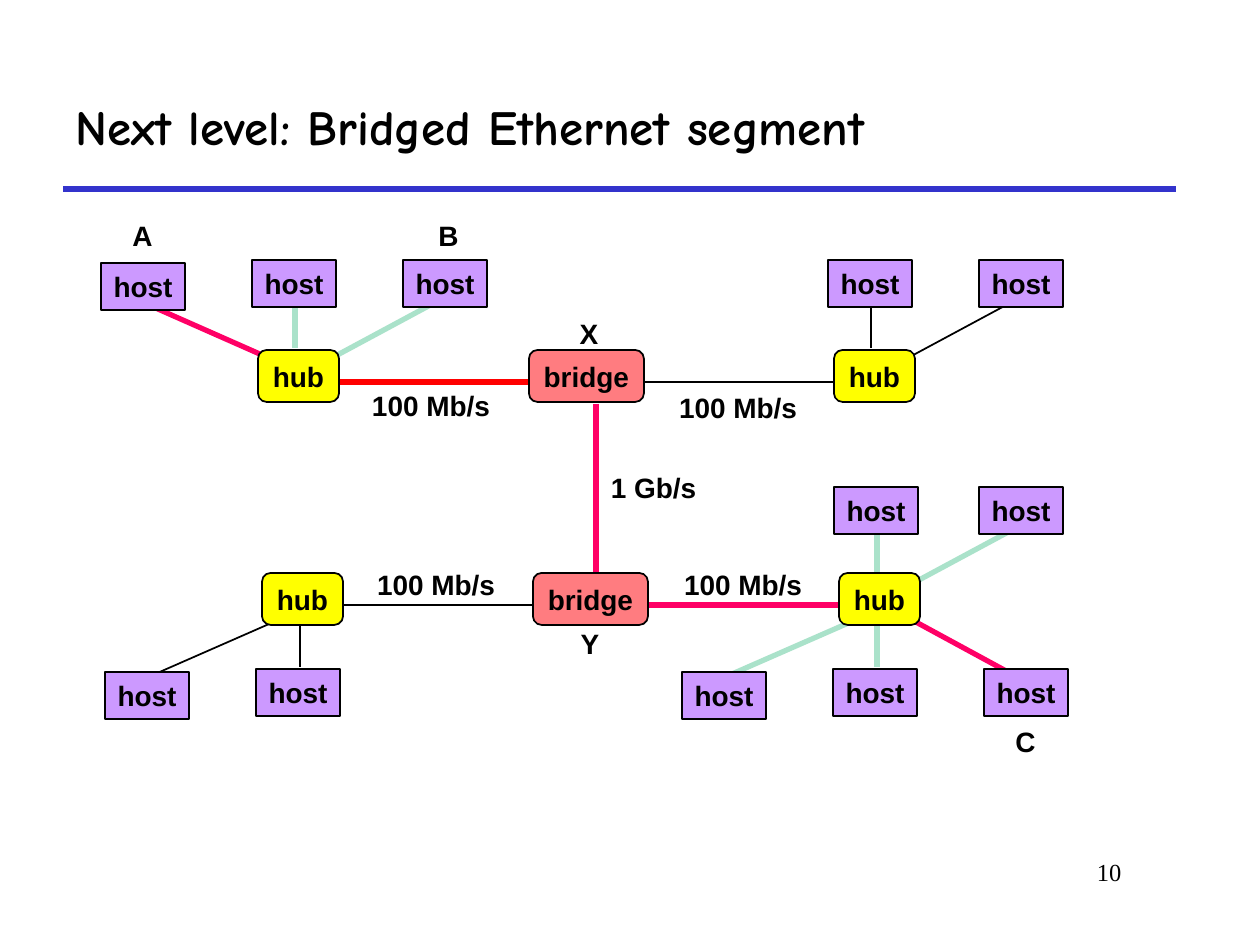
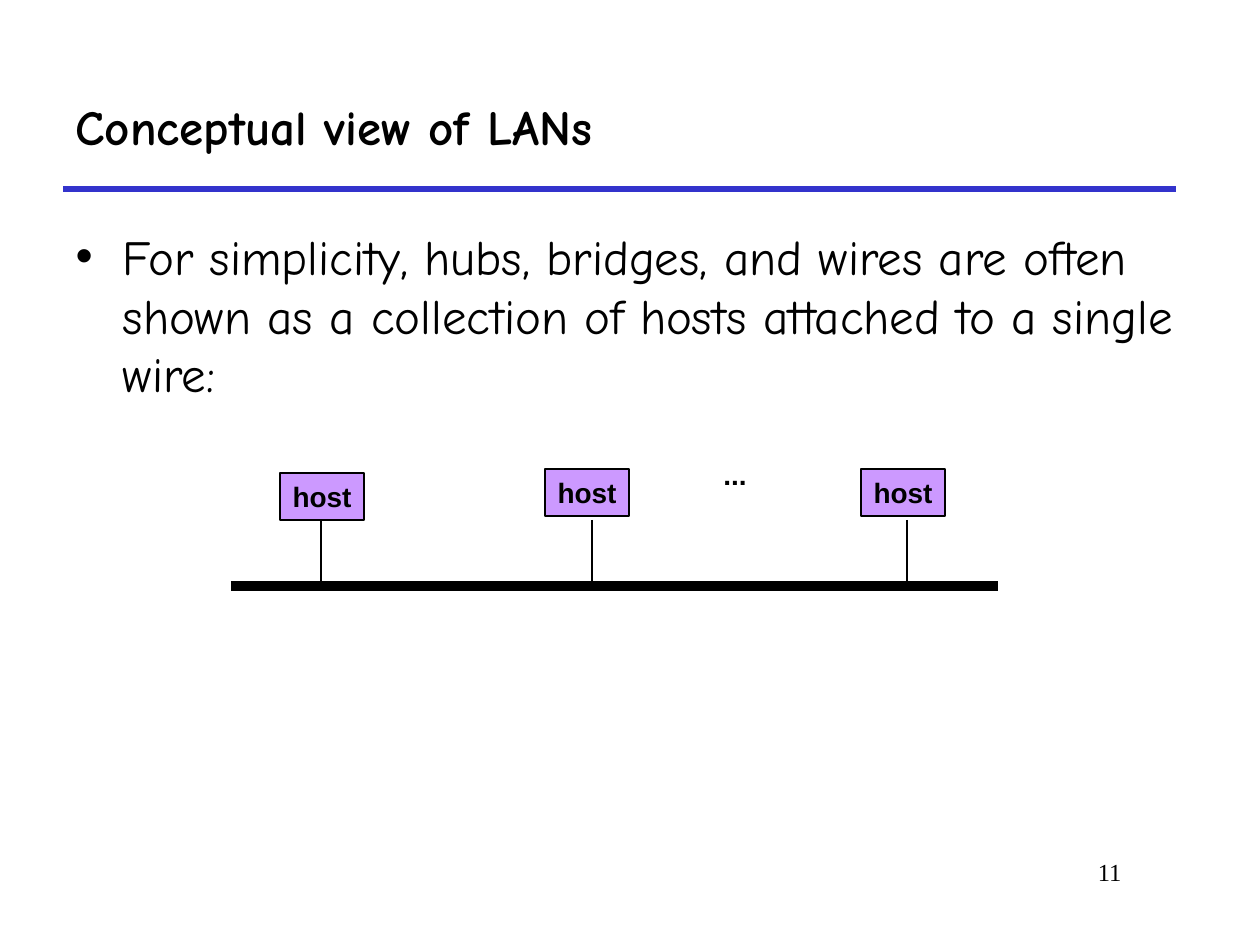
from dataclasses import dataclass

import pptx
import pptx.dml.color
import pptx.enum.shapes
import pptx.enum.text
import pptx.oxml.ns
import pptx.util
from lxml import etree

PX = 914400 / 126
SHAPE = pptx.enum.shapes.MSO_SHAPE
ALIGN = pptx.enum.text.PP_ALIGN
ANCHOR = pptx.enum.text.MSO_ANCHOR


@dataclass(frozen=True)
class Theme:
    ink: str = "000000"
    rule: str = "3333CC"
    host: str = "CC99FF"
    hub: str = "FFFF00"
    bridge: str = "FF7C80"
    route: str = "FF0066"
    first_hop: str = "FF0000"
    flooded: str = "AAE2CA"
    text_font: str = "Comic Neue"
    label_font: str = "Arial"
    number_font: str = "Times New Roman"
    text_size: int = 28
    label_size: int = 16
    number_size: int = 14
    thin: int = 1
    thick: int = 3
    wire: int = 6


T = Theme()

# Fill, preset shape, width and height of each kind of node
NODES = {
    "host": (T.host, SHAPE.RECTANGLE, 84, 47),
    "hub": (T.hub, SHAPE.ROUNDED_RECTANGLE, 81, 52),
    "bridge": (T.bridge, SHAPE.ROUNDED_RECTANGLE, 115, 52),
}

# Offsets from a hub's corner: host corner, then the two ends of its cable
SPOKES = {
    "up left": ((-157, -87), (-116, -48), (13, 9)),
    "up": ((-6, -90), (37, -48), (37, -2)),
    "up right": ((145, -90), (178, -48), (72, 9)),
    "near up": ((-5, -86), (38, -43), (38, 3)),
    "near up right": ((140, -86), (173, -43), (67, 14)),
    "down left": ((-157, 99), (14, 48), (-116, 105)),
    "down": ((-6, 96), (38, 48), (38, 94)),
    "down right": ((145, 96), (75, 48), (180, 105)),
}

# Hub corner, and the cable colour of each of its spokes
SEGMENTS = [
    ((258, 350), {"up left": T.route, "up": T.flooded, "up right": T.flooded}),
    ((834, 350), {"up": T.ink, "up right": T.ink}),
    ((262, 573), {"down left": T.ink, "down": T.ink}),
    ((839, 573), {"near up": T.flooded, "near up right": T.flooded,
                  "down left": T.flooded, "down": T.flooded,
                  "down right": T.route}),
]
BRIDGES = [(529, 350), (533, 573)]
TRUNKS = [
    ((338, 382), (537, 382), T.first_hop),
    ((643, 382), (843, 382), T.ink),
    ((342, 605), (542, 605), T.ink),
    ((648, 605), (847, 605), T.route),
    ((596, 404), (596, 576), T.route),
]
LABELS = [
    ("100 Mb/s", 360, 382, 142), ("100 Mb/s", 667, 384, 142),
    ("100 Mb/s", 365, 561, 142), ("100 Mb/s", 672, 561, 142),
    ("1 Gb/s", 598, 464, 111),
    ("A", 120, 212, 45), ("B", 426, 212, 45), ("C", 1003, 718, 45),
    ("X", 567, 310, 44), ("Y", 568, 620, 44),
]


def px(*lengths):
    return [round(length * PX) for length in lengths]


def rgb(colour):
    return pptx.dml.color.RGBColor.from_string(colour)


def write(sp, text, font=T.label_font, size=T.label_size, bold=True,
          align=ALIGN.CENTER, anchor=ANCHOR.MIDDLE, wrap=False, before=0):
    tf = sp.text_frame
    tf.auto_size = pptx.enum.text.MSO_AUTO_SIZE.NONE
    tf.word_wrap = wrap
    tf.vertical_anchor = anchor
    p = tf.paragraphs[0]
    p.alignment = align
    p.space_before = pptx.util.Pt(before)
    r = p.add_run()
    r.text = text
    r.font.name = font
    r.font.size = pptx.util.Pt(size)
    r.font.bold = bold
    r.font.color.rgb = rgb(T.ink)


def add_line(s, start, end, colour=T.ink, width=T.thin):
    line = s.shapes.add_connector(
        pptx.enum.shapes.MSO_CONNECTOR.STRAIGHT, *px(*start, *end))
    line.line.color.rgb = rgb(colour)
    line.line.width = pptx.util.Pt(width)
    etree.SubElement(line._element.spPr, pptx.oxml.ns.qn("a:effectLst"))


def add_cable(s, start, end, colour):
    """Draw a link: thin when idle, thick when it carries the frame."""
    add_line(s, start, end, colour, T.thin if colour == T.ink else T.thick)


def add_node(s, kind, x, y):
    fill, preset, width, height = NODES[kind]
    sp = s.shapes.add_shape(preset, *px(x, y, width, height))
    sp.shadow.inherit = False
    sp.fill.solid()
    sp.fill.fore_color.rgb = rgb(fill)
    sp.line.color.rgb = rgb(T.ink)
    sp.line.width = pptx.util.Pt(T.thin)
    write(sp, kind)


def add_label(s, text, x, y, width, height=47, **style):
    write(s.shapes.add_textbox(*px(x, y, width, height)), text, **style)


def fill_placeholder(sp, box, text, **style):
    sp.left, sp.top, sp.width, sp.height = px(*box)
    write(sp, text, font=T.text_font, size=T.text_size, align=ALIGN.LEFT,
          wrap=True, **style)


def add_slide(prs, layout, title, number):
    """Add a slide with the shared title, rule and page number."""
    s = prs.slides.add_slide(prs.slide_layouts.get_by_name(layout))
    add_line(s, (63, 189), (1176, 189), T.rule, T.thick)
    fill_placeholder(s.shapes.title, (63, 63, 1113, 126), title)
    add_label(s, str(number), 955, 851, 179, 63, font=T.number_font,
              size=T.number_size, bold=False, align=ALIGN.RIGHT,
              anchor=ANCHOR.TOP, wrap=True)
    return s


def add_segment(s, hub, cables):
    """Draw a hub with a host at the end of each cable."""
    def place(offset):
        return hub[0] + offset[0], hub[1] + offset[1]

    for direction, colour in cables.items():
        host, start, end = SPOKES[direction]
        add_cable(s, place(start), place(end), colour)
        add_node(s, "host", *place(host))
    add_node(s, "hub", *hub)


def add_bridged_slide(prs):
    s = add_slide(prs, "Title Only", "Next level: Bridged Ethernet segment", 10)
    for start, end, colour in TRUNKS:
        add_cable(s, start, end, colour)
    for hub, cables in SEGMENTS:
        add_segment(s, hub, cables)
    for x, y in BRIDGES:
        add_node(s, "bridge", x, y)
    for label in LABELS:
        add_label(s, *label)


def add_concept_slide(prs):
    s = add_slide(prs, "Title and Content", "Conceptual view of LANs", 11)
    fill_placeholder(
        s.placeholders[1], (63, 220, 1144, 210),
        "For simplicity, hubs, bridges, and wires are often shown as a "
        "collection of hosts attached to a single wire:",
        bold=False, anchor=ANCHOR.TOP, before=7)
    wire_y = 586
    add_line(s, (231, wire_y), (998, wire_y), width=T.wire)
    for tap_x, host_x, host_y in [(321, 280, 473), (592, 545, 469),
                                  (907, 861, 469)]:
        add_line(s, (tap_x, 520), (tap_x, wire_y))
        add_node(s, "host", host_x, host_y)
    add_label(s, "...", 711, 451, 48)


def main():
    prs = pptx.Presentation()
    prs.slide_width, prs.slide_height = px(1260, 945)
    add_bridged_slide(prs)
    add_concept_slide(prs)
    prs.save("out.pptx")


if __name__ == "__main__":
    main()
